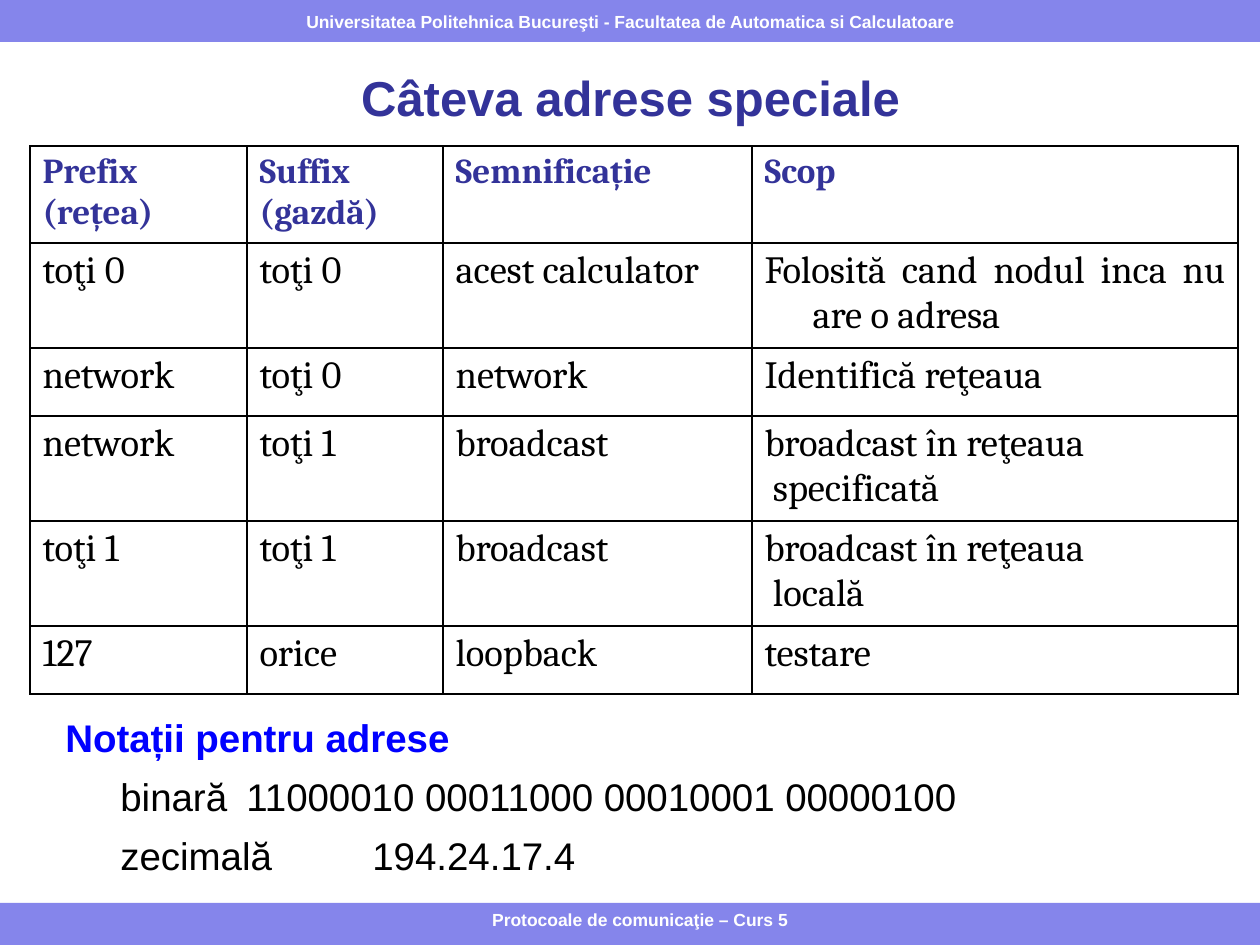
from pptx import Presentation
from pptx import util as u
from pptx.dml.color import RGBColor
from pptx.enum import shapes, text
from pptx.oxml import parse_xml
from pptx.oxml.ns import nsdecls

PX = 914400 // 126  # EMU in one px

WHITE = RGBColor(0xFF, 0xFF, 0xFF)
BLACK = RGBColor(0, 0, 0)
LAVENDER = RGBColor(0x85, 0x85, 0xEB)
INDIGO = RGBColor(0x33, 0x33, 0x99)
BLUE = RGBColor(0, 0, 0xFF)

COLUMNS = [217, 196, 309, 486]
ROWS = [97, 105, 68, 105, 105, 68]
ADDRESSES = [
    ["Prefix\n(rețea)", "Suffix\n(gazdă)", "Semnificație", "Scop"],
    ["toţi 0", "toţi 0", "acest calculator",
     "Folosită cand nodul inca nu are o adresa"],
    ["network", "toţi 0", "network", "Identifică reţeaua"],
    ["network", "toţi 1", "broadcast", "broadcast în reţeaua\n specificată"],
    ["toţi 1", "toţi 1", "broadcast", "broadcast în reţeaua\n locală"],
    ["127", "orice", "loopback", "testare"],
]
NOTATIONS = ["binară\t11000010 00011000 00010001 00000100",
             "zecimală\t194.24.17.4"]


def px(*lengths):
    return [u.Emu(length * PX) for length in lengths]


def style(paragraph, size, color, bold=False, name="Arial", align=None):
    paragraph.alignment = align
    font = paragraph.font
    font.name, font.size, font.bold = name, u.Pt(size), bold
    font.color.rgb = color


def add_bar(slide, top):
    bar = slide.shapes.add_shape(shapes.MSO_SHAPE.RECTANGLE, *px(0, top, 1260, 42))
    bar.shadow.inherit = False
    bar.fill.solid()
    bar.fill.fore_color.rgb = LAVENDER
    bar.line.fill.background()
    return bar


def add_box(slide, box, anchor=text.MSO_ANCHOR.TOP):
    frame = slide.shapes.add_textbox(*px(*box)).text_frame
    frame.word_wrap = True
    frame.vertical_anchor = anchor
    return frame


def write_centered(frame, words, size, color):
    frame.text = words
    style(frame.paragraphs[0], size, color, True, align=text.PP_ALIGN.CENTER)


def set_borders(cell):
    properties = cell._tc.get_or_add_tcPr()
    for side in ("lnL", "lnR", "lnT", "lnB"):
        properties.append(parse_xml(
            f'<a:{side} {nsdecls("a")} w="12700"><a:solidFill>'
            f'<a:srgbClr val="{BLACK}"/></a:solidFill></a:{side}>'))


def fill_cell(cell, words, is_header):
    set_borders(cell)
    cell.fill.background()
    cell.text = words
    size, color = (20, INDIGO) if is_header else (22, BLACK)
    for paragraph in cell.text_frame.paragraphs:
        properties = paragraph._p.get_or_add_pPr()
        properties.set("marL", str(48 * PX))
        properties.set("indent", str(-48 * PX))
        style(paragraph, size, color, is_header, "Cambria", text.PP_ALIGN.JUSTIFY)


def add_address_table(slide):
    table = slide.shapes.add_table(
        len(ROWS), len(COLUMNS),
        *px(30, 146, sum(COLUMNS), sum(ROWS))).table
    table.first_row = table.horz_banding = False
    for column, width in zip(table.columns, px(*COLUMNS)):
        column.width = width
    for row, height in zip(table.rows, px(*ROWS)):
        row.height = height
    for r, row_words in enumerate(ADDRESSES):
        for c, words in enumerate(row_words):
            fill_cell(table.cell(r, c), words, r == 0)


def add_notations(slide):
    frame = add_box(slide, (53, 706, 1155, 194))
    frame.text = "\n".join(["Notații pentru adrese"] + NOTATIONS)
    heading, *notations = frame.paragraphs
    style(heading, 22, BLUE, True)
    for notation in notations:
        notation.level = 1
        properties = notation._p.get_or_add_pPr()
        properties.set("marL", str(55 * PX))
        properties.set("indent", "0")
        properties.set("defTabSz", str(126 * PX))
        style(notation, 22, BLACK)
    for paragraph in frame.paragraphs:
        paragraph.line_spacing = 1.05
        paragraph.space_after = u.Pt(6)


def main():
    deck = Presentation()
    deck.slide_width, deck.slide_height = u.Inches(10), u.Inches(7.5)
    slide = deck.slides.add_slide(deck.slide_layouts[6])

    # Bars at the bottom and top
    add_bar(slide, 903)
    header = add_bar(slide, 0).text_frame
    header.word_wrap = False
    header.vertical_anchor = text.MSO_ANCHOR.MIDDLE
    write_centered(
        header,
        "Universitatea Politehnica Bucureşti - Facultatea de Automatica si Calculatoare",
        10, WHITE)

    # Title, table and notations
    title = add_box(slide, (53, 63, 1155, 67), text.MSO_ANCHOR.MIDDLE)
    write_centered(title, "Câteva adrese speciale", 28, INDIGO)
    add_notations(slide)
    add_address_table(slide)

    # Footer
    footer = add_box(slide, (325, 903, 630, 42))
    write_centered(footer, "Protocoale de comunicaţie – Curs 5", 10, WHITE)

    deck.save("out.pptx")


if __name__ == "__main__":
    main()
